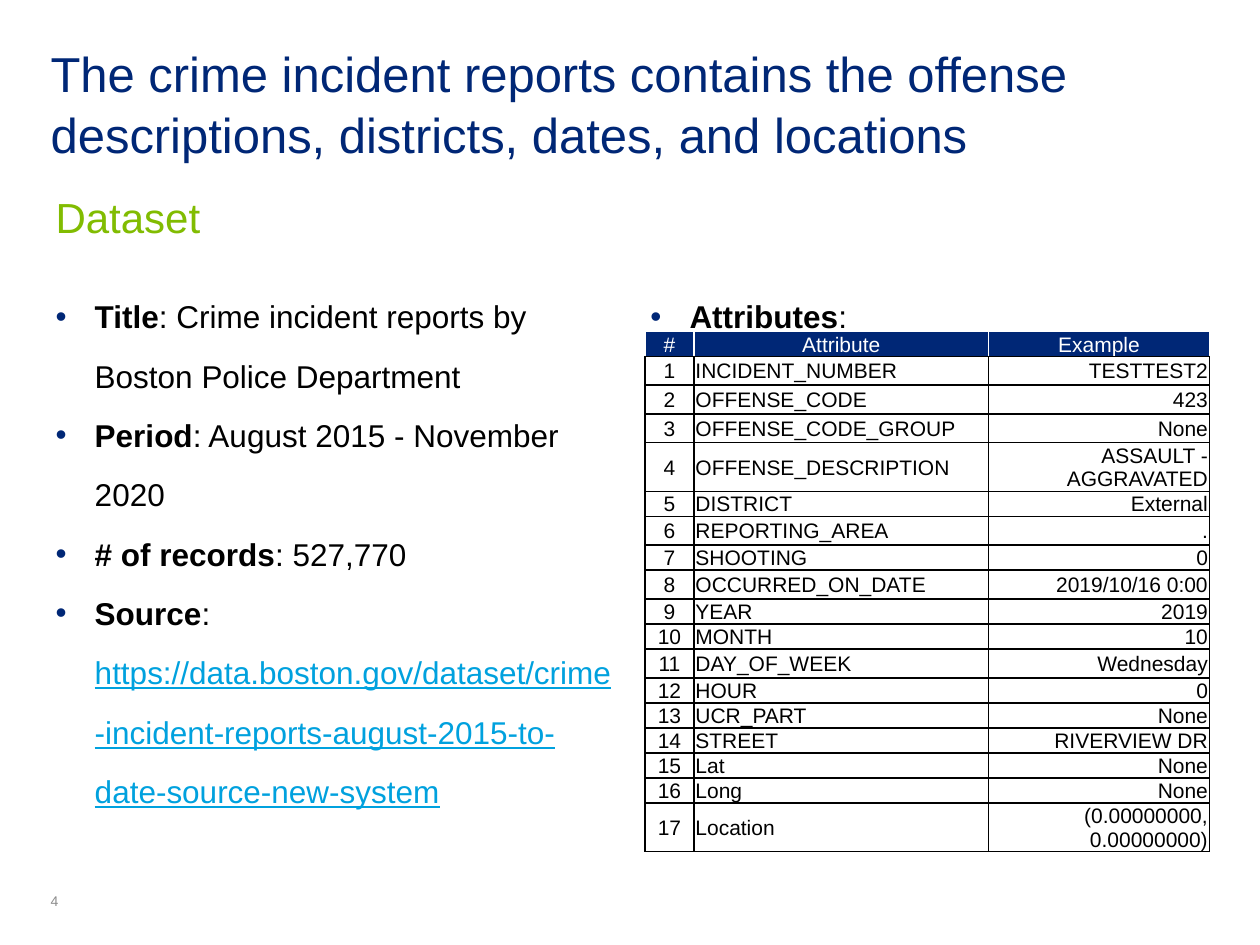
from dataclasses import dataclass

from lxml.etree import SubElement
from pptx import Presentation
from pptx.dml.color import RGBColor
from pptx.enum.text import MSO_ANCHOR as Anchor, MSO_AUTO_SIZE as AutoSize, PP_ALIGN as Align
from pptx.oxml.ns import qn
from pptx.util import Cm, Pt


@dataclass(frozen=True)
class Theme:
    """Colours, font and type sizes of the deck."""
    font: str = "Arial"
    navy: str = "002776"
    green: str = "81BC01"
    link: str = "00A1DE"
    grey: str = "8C8C8C"
    black: str = "000000"
    white: str = "FFFFFF"
    title: int = 28
    subtitle: int = 24
    body: int = 18
    table: int = 12
    footer: int = 8


THEME = Theme()
URL = ("https://data.boston.gov/dataset/"
       "crime-incident-reports-august-2015-to-date-source-new-system")
FACTS = [
    ("Title", ": Crime incident reports by Boston Police Department"),
    ("Period", ": August 2015 - November 2020"),
    ("# of records", ": 527,770"),
    ("Source", ": ", URL),
]
ATTRIBUTES = [
    ("INCIDENT_NUMBER", "TESTTEST2"),
    ("OFFENSE_CODE", "423"),
    ("OFFENSE_CODE_GROUP", "None"),
    ("OFFENSE_DESCRIPTION", "ASSAULT - AGGRAVATED"),
    ("DISTRICT", "External"),
    ("REPORTING_AREA", "."),
    ("SHOOTING", "0"),
    ("OCCURRED_ON_DATE", "2019/10/16 0:00"),
    ("YEAR", "2019"),
    ("MONTH", "10"),
    ("DAY_OF_WEEK", "Wednesday"),
    ("HOUR", "0"),
    ("UCR_PART", "None"),
    ("STREET", "RIVERVIEW DR"),
    ("Lat", "None"),
    ("Long", "None"),
    ("Location", "(0.00000000, 0.00000000)"),
]
COLUMN_WIDTHS = (0.99, 5.94, 4.45)
SHORT_ROW, MEDIUM_ROW, TALL_ROW = 0.48, 0.58, 0.94
MEDIUM_ROWS = {1, 2, 3, 6, 8, 11}
TALL_ROWS = {4, 17}


def add_span(para, text, *, size, color=THEME.black, bold=False, underline=False):
    """Append formatted text to a paragraph."""
    span = para.add_run()
    span.text = text
    font = span.font
    font.name, font.size, font.bold = THEME.font, Pt(size), bold
    font.color.rgb = RGBColor.from_string(color)
    if underline:
        font.underline = True


class PageBuilder:
    """Holds the theme and the current slide and adds elements to it."""

    def __init__(self, page, theme):
        self.page = page
        self.theme = theme

    def place(self, box, area, anchor=Anchor.TOP):
        """Move a text shape and give its frame plain settings."""
        box.left, box.top, box.width, box.height = map(Cm, area)
        frame = box.text_frame
        frame.word_wrap, frame.auto_size = True, AutoSize.NONE
        frame.vertical_anchor = anchor
        frame.margin_left = frame.margin_top = frame.margin_right = frame.margin_bottom = 0
        return frame

    def title(self, text, area):
        """Fill the title placeholder."""
        para = self.place(self.page.shapes.title, area).paragraphs[0]
        para.alignment, para.line_spacing = Align.LEFT, 1.05
        add_span(para, text, size=self.theme.title, color=self.theme.navy)

    def label(self, text, area, size, color, anchor=Anchor.TOP):
        """Add a single-line text box."""
        box = self.page.shapes.add_textbox(*map(Cm, area))
        para = self.place(box, area, anchor).paragraphs[0]
        para.line_spacing = 1.05
        add_span(para, text, size=size, color=color)

    def bullets(self, index, items, area):
        """Fill a body placeholder with bullets that open with a bold term."""
        frame = self.place(self.page.placeholders[index], area)
        for number, (term, detail, *links) in enumerate(items):
            para = frame.add_paragraph() if number else frame.paragraphs[0]
            para.line_spacing, para.space_before = 1.57, Pt(0)
            self.bullet_mark(para)
            add_span(para, term, size=self.theme.body, bold=True)
            add_span(para, detail, size=self.theme.body)
            for link in links:
                add_span(para, link, size=self.theme.body, color=self.theme.link,
                         underline=True)

    def bullet_mark(self, para):
        """Give a paragraph a hanging coloured bullet."""
        props = para._p.get_or_add_pPr()
        props.set("marL", str(Cm(0.79)))
        props.set("indent", str(-Cm(0.79)))
        color = SubElement(props, qn("a:buClr"))
        SubElement(color, qn("a:srgbClr"), val=self.theme.navy)
        SubElement(props, qn("a:buFont"), typeface=self.theme.font)
        SubElement(props, qn("a:buChar"), char="•")

    def table(self, header, records, area):
        """Add the attribute table with numbered rows."""
        rows = [header] + [(str(n), *record) for n, record in enumerate(records, 1)]
        grid = self.page.shapes.add_table(len(rows), len(header), *map(Cm, area)).table
        grid.horz_banding = False
        for column, width in zip(grid.columns, COLUMN_WIDTHS):
            column.width = Cm(width)
        for r, values in enumerate(rows):
            height = (TALL_ROW if r in TALL_ROWS
                      else MEDIUM_ROW if r in MEDIUM_ROWS else SHORT_ROW)
            grid.rows[r].height = Cm(height)
            for c, value in enumerate(values):
                align = Align.CENTER if r == 0 else (Align.CENTER, Align.LEFT, Align.RIGHT)[c]
                self.cell(grid.cell(r, c), value, align, is_header=r == 0)

    def cell(self, cell, text, align, is_header):
        """Write and format one table cell."""
        theme = self.theme
        cell.margin_left = cell.margin_right = cell.margin_top = Cm(0.03)
        cell.margin_bottom = 0
        cell.vertical_anchor = Anchor.MIDDLE
        edge = theme.white if is_header else theme.black
        self.borders(cell, {"lnL": edge, "lnR": edge, "lnT": edge if is_header else theme.black,
                            "lnB": theme.black})
        if is_header:
            cell.fill.solid()
            cell.fill.fore_color.rgb = RGBColor.from_string(theme.navy)
        else:
            cell.fill.background()
        para = cell.text_frame.paragraphs[0]
        para.alignment = align
        add_span(para, text, size=theme.table, color=theme.white if is_header else theme.black)

    def borders(self, cell, colors):
        """Draw one-point lines on the sides of a cell."""
        props = cell._tc.get_or_add_tcPr()
        for side, color in colors.items():
            line = SubElement(props, qn(f"a:{side}"), w=str(Pt(1)))
            fill = SubElement(line, qn("a:solidFill"))
            SubElement(fill, qn("a:srgbClr"), val=color)


def main():
    """Build and save the deck."""
    deck = Presentation()
    deck.slide_width, deck.slide_height = Cm(25.4), Cm(19.05)
    page = PageBuilder(deck.slides.add_slide(deck.slide_layouts[3]), THEME)
    page.label("4", (1.02, 18.01, 1.27, 0.33), THEME.footer, THEME.grey, Anchor.BOTTOM)
    page.title("The crime incident reports contains the offense descriptions, "
               "districts, dates, and locations", (1.02, 0.81, 23.37, 1.3))
    page.label("Dataset", (1.12, 3.81, 22.86, 0.89), THEME.subtitle, THEME.green)
    page.bullets(1, FACTS, (1.12, 5.56, 11.28, 10.67))
    page.bullets(2, [("Attributes", ":")], (13.11, 5.56, 11.28, 1.42))
    page.table(("#", "Attribute", "Example"), ATTRIBUTES, (13, 6.68, 11.38, 10.9))
    deck.save("out.pptx")


if __name__ == "__main__":
    main()
